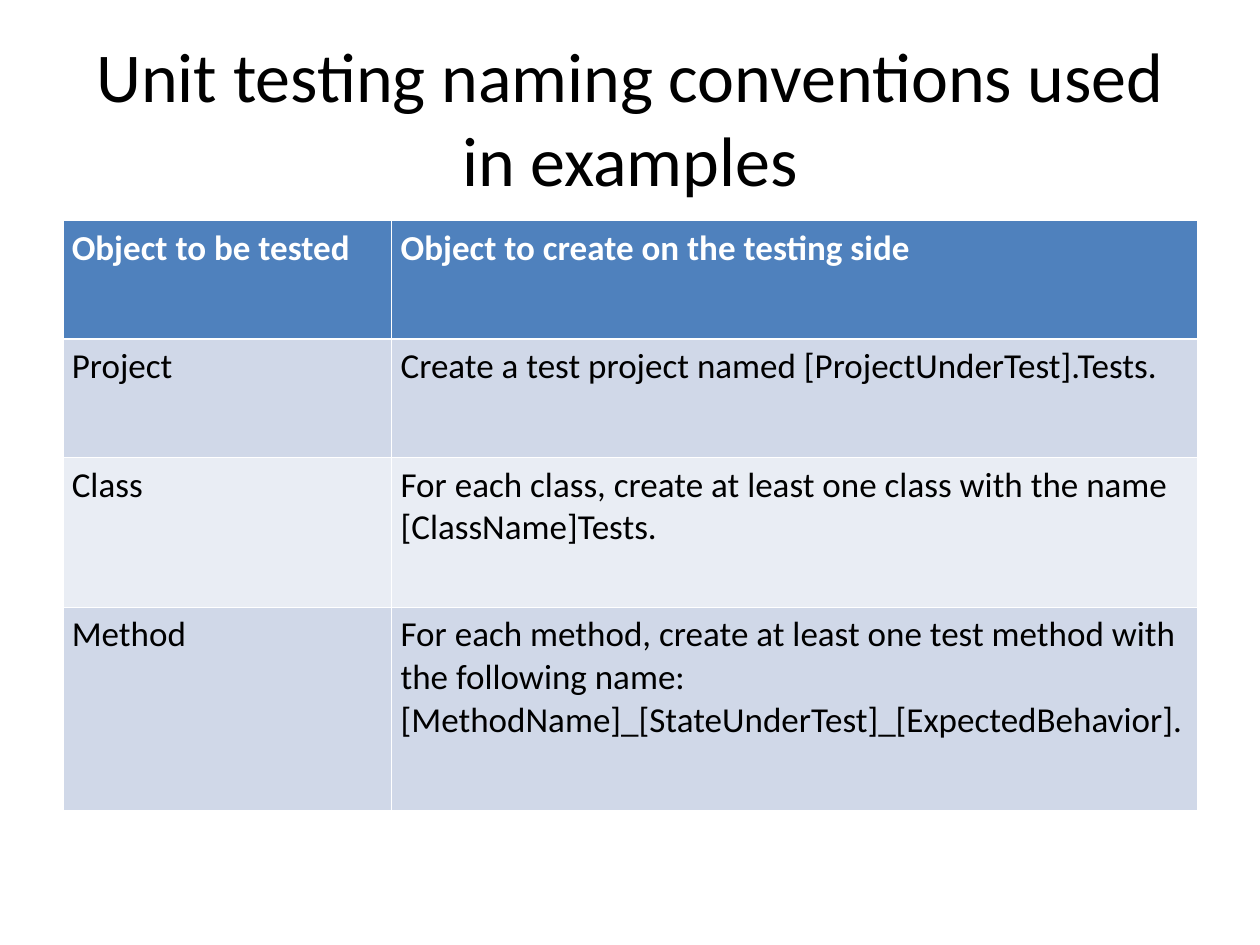
from lxml import etree
from pptx import Presentation
from pptx.dml.color import RGBColor
from pptx.enum import text
from pptx.oxml import ns
from pptx.util import Inches, Pt

BLACK = RGBColor(0x00, 0x00, 0x00)
WHITE = RGBColor(0xFF, 0xFF, 0xFF)
HEADER_BLUE = RGBColor(0x4F, 0x81, 0xBD)
BAND_DARK = RGBColor(0xD0, 0xD8, 0xE8)
BAND_LIGHT = RGBColor(0xE9, 0xED, 0xF4)
FONT = "Calibri"
THIN, THICK = Pt(0.45), Pt(1.47)

COL_WIDTHS = [2.61, 6.39]
ROW_HEIGHTS = [0.94, 0.94, 1.19, 1.61]
ROWS = [
    ("Object to be tested", "Object to create on the testing side"),
    ("Project", "Create a test project named [ProjectUnderTest].Tests."),
    ("Class", "For each class, create at least one class with the name [ClassName]Tests."),
    ("Method", "For each method, create at least one test method with the following name:\n"
               "[MethodName]_[StateUnderTest]_[ExpectedBehavior]."),
]


def format_runs(p, size, color, bold=False):
    for r in p.runs:
        r.font.name = FONT
        r.font.size = Pt(size)
        r.font.bold = bold
        r.font.color.rgb = color


def add_border(cell, side, width):
    """Add a white border; side is L, R, T or B, called in that order."""
    tc_pr = cell._tc.get_or_add_tcPr()
    ln = etree.SubElement(tc_pr, ns.qn(f"a:ln{side}"), w=str(width))
    fill = etree.SubElement(ln, ns.qn("a:solidFill"))
    etree.SubElement(fill, ns.qn("a:srgbClr"), val=str(WHITE))


prs = Presentation()
prs.slide_width, prs.slide_height = Inches(10), Inches(7.5)
s = prs.slides.add_slide(prs.slide_layouts[5])

title = s.shapes.title
title.left, title.top = Inches(0.5), Inches(0.3)
title.width, title.height = Inches(9), Inches(1.25)
tf = title.text_frame
tf.text = "Unit testing naming conventions used in examples"
tf.word_wrap = True
tf.auto_size = text.MSO_AUTO_SIZE.NONE
tf.vertical_anchor = text.MSO_ANCHOR.MIDDLE
tf.paragraphs[0].alignment = text.PP_ALIGN.CENTER
format_runs(tf.paragraphs[0], 40, BLACK)

table = s.shapes.add_table(len(ROWS), len(COL_WIDTHS), Inches(0.5), Inches(1.75),
                           Inches(sum(COL_WIDTHS)), Inches(sum(ROW_HEIGHTS))).table
for column, width in zip(table.columns, COL_WIDTHS):
    column.width = Inches(width)
for row, height in zip(table.rows, ROW_HEIGHTS):
    row.height = Inches(height)

for i, row_texts in enumerate(ROWS):
    is_header = i == 0
    row_fill = HEADER_BLUE if is_header else BAND_DARK if i % 2 else BAND_LIGHT
    for j, cell_text in enumerate(row_texts):
        cell = table.cell(i, j)
        cell.margin_left = cell.margin_right = Inches(0.07)
        cell.margin_top = cell.margin_bottom = Inches(0.05)
        add_border(cell, "L", THIN)
        add_border(cell, "R", THIN)
        add_border(cell, "T", THICK if i == 1 else THIN)
        add_border(cell, "B", THICK if is_header else THIN)
        cell.fill.solid()
        cell.fill.fore_color.rgb = row_fill
        p = cell.text_frame.paragraphs[0]
        p.text = cell_text
        format_runs(p, 20, WHITE if is_header else BLACK, is_header)

prs.save("out.pptx")
